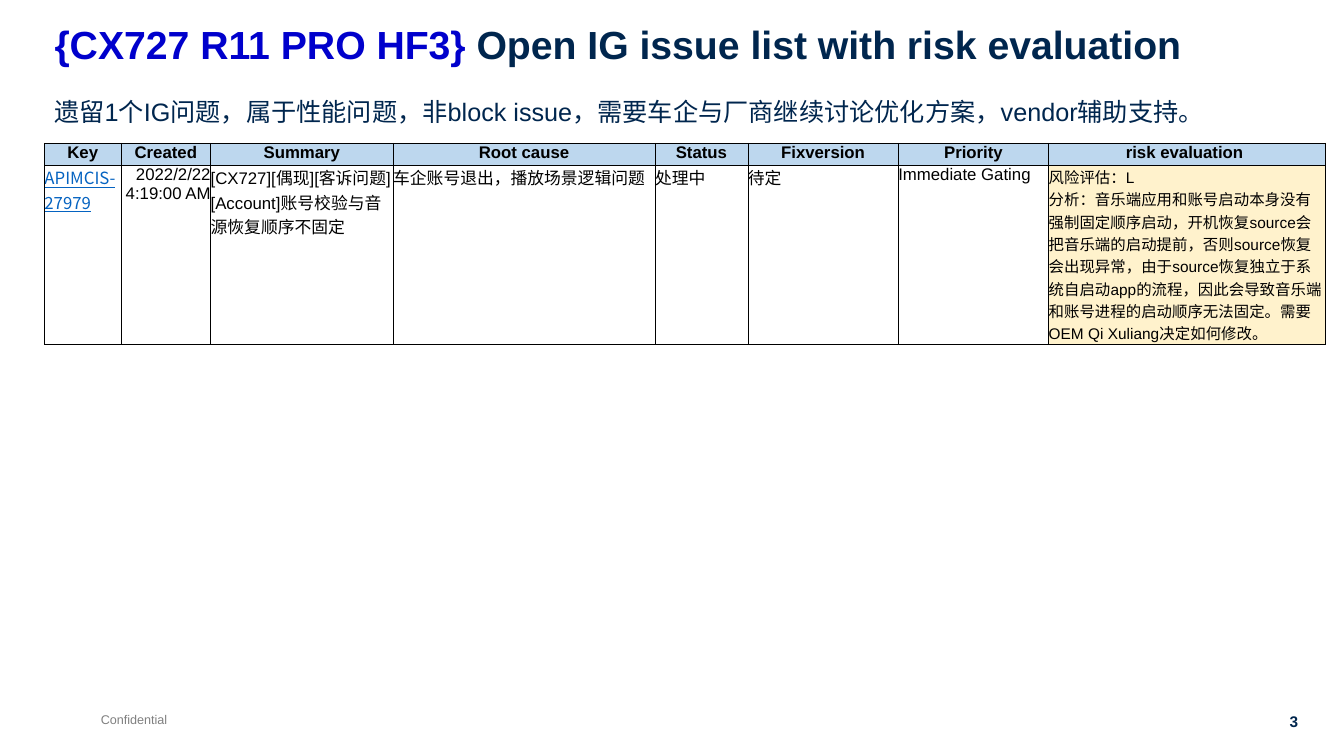
"""Build the open issue list slide with its risk evaluation table."""
from lxml import etree
from pptx import Presentation
from pptx import util as u
from pptx.dml.color import RGBColor
from pptx.enum import text
from pptx.oxml import ns

NAVY = RGBColor(0x00, 0x26, 0x4E)
BLUE = RGBColor(0x00, 0x00, 0xCC)
LINK = RGBColor(0x05, 0x63, 0xC1)
GREY = RGBColor(0x80, 0x80, 0x80)
BLACK = RGBColor(0x00, 0x00, 0x00)
HEADER_FILL = RGBColor(0xBD, 0xD7, 0xEE)
RISK_FILL = RGBColor(0xFF, 0xF2, 0xCC)
LEFT, RIGHT, CENTER = text.PP_ALIGN.LEFT, text.PP_ALIGN.RIGHT, text.PP_ALIGN.CENTER
CJK_FONT = "Noto Sans CJK SC"


def write(para, words, size=12, color=BLACK, bold=False, underline=False, font="Arial", align=LEFT):
    """Add one formatted run to a paragraph."""
    para.alignment = align
    span = para.add_run()
    span.text = words
    span.font.size = u.Pt(size)
    span.font.bold = bold
    span.font.underline = underline
    span.font.name = font
    span.font.color.rgb = color
    east_asian = etree.SubElement(span.font._element, ns.qn("a:ea"))
    east_asian.set("typeface", CJK_FONT)


def style_cell(cell, fill=None):
    """Remove the margins, draw thin black borders and set the fill."""
    cell.margin_left = cell.margin_right = cell.margin_top = cell.margin_bottom = 0
    properties = cell._tc.get_or_add_tcPr()
    for side in ("lnL", "lnR", "lnT", "lnB"):
        line = etree.SubElement(properties, ns.qn(f"a:{side}"), w=str(u.Pt(0.5)))
        solid = etree.SubElement(line, ns.qn("a:solidFill"))
        etree.SubElement(solid, ns.qn("a:srgbClr"), val=str(BLACK))
    if fill is None:
        cell.fill.background()
    else:
        cell.fill.solid()
        cell.fill.fore_color.rgb = fill


deck = Presentation()
deck.slide_width, deck.slide_height = u.Cm(33.87), u.Cm(19.05)
page = deck.slides.add_slide(deck.slide_layouts[5])

title = page.shapes.title
title.left, title.top, title.width, title.height = u.Cm(1.12), u.Cm(0.51), u.Cm(30.1), u.Cm(1.6)
title.text_frame.vertical_anchor = text.MSO_ANCHOR.TOP
title.text_frame.auto_size = text.MSO_AUTO_SIZE.NONE
heading = title.text_frame.paragraphs[0]
heading.line_spacing = 0.9
write(heading, "{CX727 R11 PRO HF3} ", size=28, color=BLUE, bold=True)
write(heading, "Open IG issue list with risk evaluation", size=28, color=NAVY, bold=True)

summary = "遗留1个IG问题，属于性能问题，非block issue，需要车企与厂商继续讨论优化方案，vendor辅助支持。"
labels = [
    (summary, 1.12, 2.31, 32.03, 1.02, True, dict(size=18, color=NAVY)),
    ("Confidential", 2.29, 17.81, 2.21, 0.64, False, dict(size=9, color=GREY)),
    ("3", 31.98, 17.81, 0.99, 0.74, False, dict(size=11, color=NAVY, bold=True, align=RIGHT)),
]
for words, left, top, width, height, wrap, style in labels:
    box = page.shapes.add_textbox(u.Cm(left), u.Cm(top), u.Cm(width), u.Cm(height))
    box.text_frame.word_wrap = wrap
    write(box.text_frame.paragraphs[0], words, **style)

columns = [
    ("Key", 1.93, "APIMCIS-27979", dict(font=CJK_FONT, color=LINK, underline=True)),
    ("Created", 2.26, "2022/2/22 4:19:00 AM", dict(align=RIGHT)),
    ("Summary", 4.6, "[CX727][偶现][客诉问题][Account]账号校验与音源恢复顺序不固定", {}),
    ("Root cause", 6.6, "车企账号退出，播放场景逻辑问题", {}),
    ("Status", 2.34, "处理中", {}),
    ("Fixversion", 3.79, "待定", {}),
    ("Priority", 3.79, "Immediate Gating", {}),
    ("risk evaluation ", 6.97, "风险评估：", dict(size=11, font=CJK_FONT)),
]
table_width = sum(width for _, width, _, _ in columns)
frame = page.shapes.add_table(2, len(columns), u.Cm(1.12), u.Cm(3.61), u.Cm(table_width), u.Cm(5.08))
issues = frame.table
issues.rows[0].height, issues.rows[1].height = u.Cm(0.56), u.Cm(4.5)
for index, (name, width, value, style) in enumerate(columns):
    issues.columns[index].width = u.Cm(width)
    header, entry = issues.cell(0, index), issues.cell(1, index)
    style_cell(header, HEADER_FILL)
    write(header.text_frame.paragraphs[0], name, bold=True, align=CENTER)
    style_cell(entry, RISK_FILL if index == len(columns) - 1 else None)
    write(entry.text_frame.paragraphs[0], value, **style)

risk = issues.cell(1, len(columns) - 1).text_frame
write(risk.paragraphs[0], "L", size=11)
analysis = (
    "分析：音乐端应用和账号启动本身没有强制固定顺序启动，开机恢复source会把音乐端的启动提前，"
    "否则source恢复会出现异常，由于source恢复独立于系统自启动app的流程，"
    "因此会导致音乐端和账号进程的启动顺序无法固定。需要OEM Qi Xuliang决定如何修改。"
)
write(risk.add_paragraph(), analysis, size=11)

deck.save("out.pptx")
